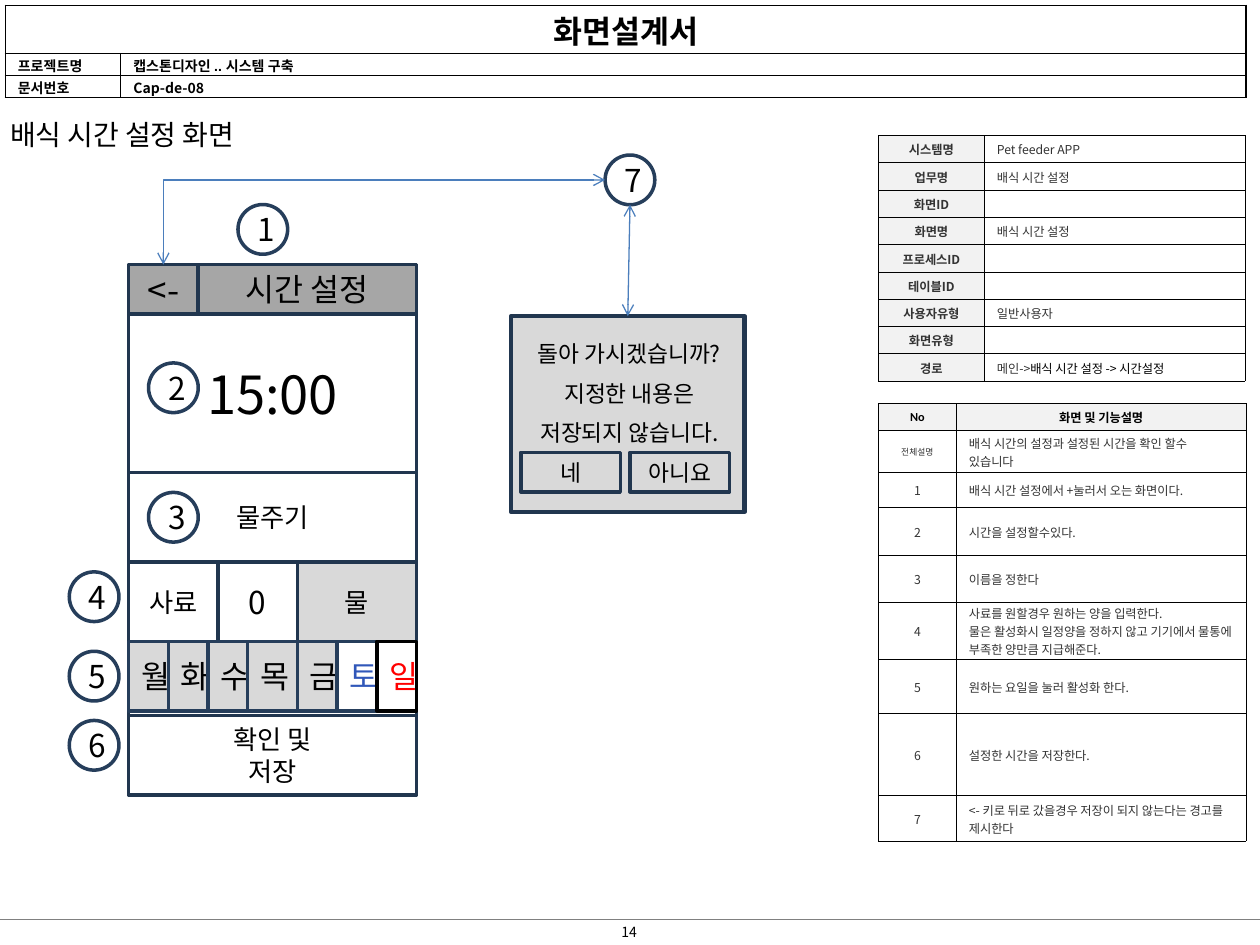
from lxml import etree
from pptx import Presentation
from pptx.dml.color import RGBColor
from pptx.enum.shapes import MSO_CONNECTOR, MSO_SHAPE
from pptx.enum.text import MSO_ANCHOR, MSO_AUTO_SIZE, PP_ALIGN
from pptx.oxml.ns import qn
from pptx.util import Pt

COLORS = {
    "black": "000000", "white": "FFFFFF", "text": "333333", "label": "F2F2F2",
    "bar": "A6A6A6", "panel": "D9D9D9", "navy": "21364F", "slate": "263E5B",
    "arrow": "4B7EBC", "rule": "808080", "saturday": "3057B9", "sunday": "FF0000",
}
KOREAN = "Noto Sans CJK KR"


def write(frame, text, size, color="black", bold=False, align=PP_ALIGN.CENTER,
          anchor=MSO_ANCHOR.MIDDLE, font=KOREAN):
    frame.text = text
    frame.word_wrap = True
    frame.vertical_anchor = anchor
    for paragraph in frame.paragraphs:
        paragraph.alignment = align
        for run in paragraph.runs:
            run.font.size = Pt(size)
            run.font.bold = bold
            run.font.name = font
            run.font.color.rgb = RGBColor.from_string(COLORS[color])
            etree.SubElement(run.font._element, qn("a:ea"), typeface=KOREAN)


def draw(left, top, width, height, fill, line, text="", size=18, color="black",
         kind=MSO_SHAPE.RECTANGLE, weight=2):
    shape = slide.shapes.add_shape(kind, Pt(left), Pt(top), Pt(width), Pt(height))
    shape.shadow.inherit = False
    if fill:
        shape.fill.solid()
        shape.fill.fore_color.rgb = RGBColor.from_string(COLORS[fill])
    else:
        shape.fill.background()
    if line:
        shape.line.color.rgb = RGBColor.from_string(COLORS[line])
        shape.line.width = Pt(weight)
    else:
        shape.line.fill.background()
    if text:
        write(shape.text_frame, text, size, color)
    return shape


prs = Presentation()
prs.slide_width, prs.slide_height = Pt(720), Pt(540)
slide = prs.slides.add_slide(prs.slide_layouts[5])

title = slide.shapes.title
title.left, title.top, title.width, title.height = Pt(0), Pt(60.5), Pt(376.5), Pt(29)
write(title.text_frame, "배식 시간 설정 화면", 16, align=PP_ALIGN.LEFT, anchor=MSO_ANCHOR.TOP)
title.text_frame.auto_size = MSO_AUTO_SIZE.NONE
title.text_frame.margin_left = title.text_frame.margin_right = Pt(5.76)
title.text_frame.margin_top = title.text_frame.margin_bottom = Pt(2.88)
title.text_frame.paragraphs[0].line_spacing = 1.2

page_number = slide.shapes.add_textbox(Pt(339.5), Pt(524), Pt(40), Pt(17.5))
write(page_number.text_frame, "14", 8)

document_rows = [
    ("화면설계서", ""),
    ("프로젝트명", "캡스톤디자인 .. 시스템 구축"),
    ("문서번호", "Cap-de-08"),
]
screen_rows = [
    ("시스템명", "Pet feeder APP"),
    ("업무명", "배식 시간 설정"),
    ("화면ID", ""),
    ("화면명", "배식 시간 설정"),
    ("프로세스ID", ""),
    ("테이블ID", ""),
    ("사용자유형", "일반사용자"),
    ("화면유형", ""),
    ("경로", "메인->"),
]
function_rows = [
    ("No", "화면 및 기능설명"),
    ("전체설명", "배식 시간의 설정과 설정된 시간을 확인 할수 있습니다"),
    ("1", "배식 시간 설정에서 +눌러서 오는 화면이다."),
    ("2", "시간을 설정할수있다."),
    ("3", "이름을 정한다"),
    ("4", "사료를 원할경우 원하는 양을 입력한다.\n"
          "물은 활성화시 일정양을 정하지 않고 기기에서 물통에 부족한 양만큼 지급해준다."),
    ("5", "원하는 요일을 눌러 활성화 한다."),
    ("6", "설정한 시간을 저장한다."),
    ("7", "<- 키로 뒤로 갔을경우 저장이 되지 않는다는 경고를 제시한다"),
]
function_heights = [15.4, 24, 20, 27.4, 26.9, 32.6, 30.9, 46.9, 26.3]

tables = []
for left, top, widths, heights, rows, border in [
    (3, 3, [66, 643], [27.6, 12.6, 12.6], document_rows, 1),
    (502, 77.3, [60.5, 149], [15.6] * 9, screen_rows, 0.25),
    (502, 230.4, [44.5, 165.6], function_heights, function_rows, 0.25),
]:
    table = slide.shapes.add_table(len(rows), 2, Pt(left), Pt(top),
                                   Pt(sum(widths)), Pt(sum(heights))).table
    table.first_row = table.horz_banding = False
    for column, width in zip(table.columns, widths):
        column.width = Pt(width)
    for row, height, texts in zip(table.rows, heights, rows):
        row.height = Pt(height)
        for cell, text in zip(row.cells, texts):
            cell.margin_top, cell.margin_bottom = Pt(0.9), Pt(0)
            cell.vertical_anchor = MSO_ANCHOR.MIDDLE
            for side in ("a:lnL", "a:lnR", "a:lnT", "a:lnB"):
                edge = etree.SubElement(cell._tc.get_or_add_tcPr(), qn(side), w=str(Pt(border)))
                paint = etree.SubElement(edge, qn("a:solidFill"))
                etree.SubElement(paint, qn("a:srgbClr"), val=COLORS["black"])
            cell.fill.background()
            if text:
                write(cell.text_frame, text, 7, "text", align=PP_ALIGN.LEFT)
            else:
                etree.SubElement(cell.text_frame.paragraphs[0]._p, qn("a:endParaRPr"), sz="700")
    tables.append(table)
document, screen, functions = tables

document.cell(0, 0).merge(document.cell(0, 1))
for cell in document.iter_cells():
    cell.fill.solid()
    cell.fill.fore_color.rgb = RGBColor.from_string(COLORS["white"])
    if cell.text_frame.text:
        font = KOREAN if cell.text_frame.text == "Cap-de-08" else "Arial"
        write(cell.text_frame, cell.text_frame.text, 8, bold=True, align=PP_ALIGN.LEFT, font=font)
write(document.cell(0, 0).text_frame, "화면설계서", 18, bold=True)

for row, (label, _) in enumerate(screen_rows):
    write(screen.cell(row, 0).text_frame, label, 7, "text", bold=True)
for row, (number, _) in enumerate(function_rows):
    write(functions.cell(row, 0).text_frame, number, 5 if number == "전체설명" else 7, "text")
for column, font in enumerate(["Calibri", "Arial"]):
    write(functions.cell(0, column).text_frame, function_rows[0][column], 7, bold=True, font=font)
label_cells = [screen.cell(row, 0) for row in range(len(screen_rows))]
for cell in label_cells + [functions.cell(0, 0), functions.cell(0, 1)]:
    cell.fill.solid()
    cell.fill.fore_color.rgb = RGBColor.from_string(COLORS["label"])

route = screen.cell(8, 1).text_frame.paragraphs[0].add_run()
route.text = "배식 시간 설정 -> 시간설정"
route.font.size, route.font.name = Pt(7), KOREAN
route.font.color.rgb = RGBColor.from_string(COLORS["black"])
etree.SubElement(route.font._element, qn("a:ea"), typeface=KOREAN)

phone_left, phone_width = 73.5, 164.5
for left, top, width, height, fill, text, size in [
    (phone_left, 151.2, phone_width, 300, "white", "", 18),
    (113.2, 151.2, 124.8, 28.3, "bar", "시간 설정", 18),
    (phone_left, 151.2, 39.7, 28.3, "bar", "<-", 20),
    (phone_left, 179.5, phone_width, 90.5, "white", "15:00", 30),
    (phone_left, 270, phone_width, 51.2, "white", "물주기", 15),
    (phone_left, 321.2, 51, 45.3, "white", "사료", 15),
    (170, 321.2, 68, 45.3, "panel", "물", 15),
    (124.5, 321.2, 45.5, 45.3, "white", "0", 18),
    (phone_left, 408.8, phone_width, 45.5, "white", "확인 및\n저장", 15),
    (phone_left, 366.5, phone_width, 39.7, "white", "", 18),
]:
    draw(left, top, width, height, fill, "navy", text, size)

day_left = phone_left
for day, width, fill, line, color in [
    ("월", 22.7, "panel", "slate", "black"),
    ("화", 22.7, "panel", "slate", "black"),
    ("수", 22.7, "panel", "slate", "black"),
    ("목", 28.4, "panel", "slate", "black"),
    ("금", 22.7, "panel", "slate", "black"),
    ("토", 22.7, "white", "slate", "saturday"),
    ("일", 22.6, None, "black", "sunday"),
]:
    draw(day_left, 366.5, width, 39.7, fill, line, day, color=color)
    day_left += width

markers = [(136, 116.9), (84.9, 207.4), (84.9, 281.4), (39.6, 326.8), (39.6, 372.2),
           (39.6, 411.7), (345.8, 88.6)]
for number, (left, top) in enumerate(markers, 1):
    marker = draw(left, top, 28.4, 28.4, "white", "slate", str(number), kind=MSO_SHAPE.OVAL)
    digit = marker.text_frame.paragraphs[0].runs[0].font._element
    outline = etree.Element(qn("a:ln"), w=str(Pt(0.75)))
    paint = etree.SubElement(outline, qn("a:solidFill"))
    etree.SubElement(paint, qn("a:srgbClr"), val=COLORS["black"])
    digit.insert(0, outline)

warning = draw(292, 180.7, 133.5, 111.8, "panel", "navy", weight=2.5)
for top, height, message in [(185, 34, "돌아 가시겠습니까?"), (213.4, 22.6, "지정한 내용은"),
                             (236, 22.6, "저장되지 않습니다.")]:
    draw(297.2, top, 124.8, height, "panel", None, message, 13)
for left, answer in [(297.6, "네"), (360, "아니요")]:
    draw(left, 258.5, 56.9, 22.6, "panel", "navy", answer, 13)

footer_rule = slide.shapes.add_connector(MSO_CONNECTOR.STRAIGHT, Pt(0), Pt(525.6), Pt(720), Pt(525.6))
back_path = slide.shapes.add_connector(MSO_CONNECTOR.ELBOW, Pt(345.8), Pt(102.8), Pt(93.4), Pt(151.2))
back_path._element.spPr.find(qn("a:prstGeom")).set("prst", "bentConnector2")
warning_path = slide.shapes.add_connector(MSO_CONNECTOR.STRAIGHT, Pt(360), Pt(117), Pt(358.7), Pt(180.7))
warning_path.end_connect(warning, 0)
for connector, color in [(footer_rule, "rule"), (back_path, "arrow"), (warning_path, "arrow")]:
    connector.line.color.rgb = RGBColor.from_string(COLORS[color])
    connector.line.width = Pt(0.75)
    if color == "arrow":
        for end in ("a:headEnd", "a:tailEnd"):
            etree.SubElement(connector.line._get_or_add_ln(), qn(end), type="arrow")
    etree.SubElement(connector._element.spPr, qn("a:effectLst"))

prs.save("out.pptx")
